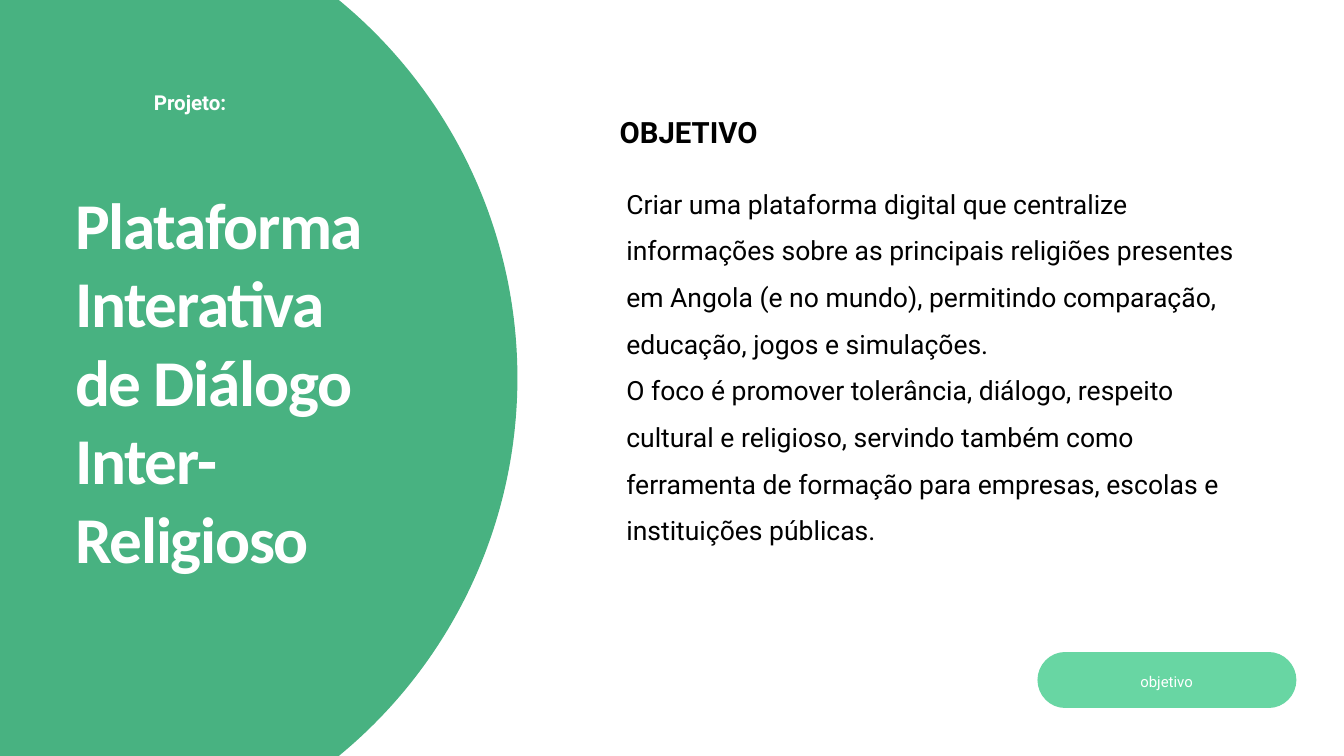
from lxml.etree import SubElement
from pptx import Presentation
from pptx.dml.color import RGBColor
from pptx.enum.shapes import MSO_CONNECTOR, MSO_SHAPE
from pptx.enum.text import MSO_ANCHOR, MSO_AUTO_SIZE, PP_ALIGN
from pptx.oxml.ns import qn
from pptx.util import Inches, Pt

COLORS = {"green": "48B281", "mint": "68D6A3", "white": "FFFFFF", "black": "000000"}


def rgb(name):
    return RGBColor.from_string(COLORS[name])


def write(shape, box, paragraphs, size, leading, color, font="Roboto", bold=False,
          align=PP_ALIGN.LEFT):
    """Place a text shape and fill it with one run per paragraph."""
    shape.left, shape.top, shape.width, shape.height = (Inches(v) for v in box)
    frame = shape.text_frame
    frame.word_wrap = True
    frame.auto_size = MSO_AUTO_SIZE.NONE
    frame.vertical_anchor = MSO_ANCHOR.TOP
    frame.margin_left = frame.margin_top = frame.margin_right = frame.margin_bottom = 0
    for i, text in enumerate(paragraphs):
        paragraph = frame.add_paragraph() if i else frame.paragraphs[0]
        properties = paragraph._p.get_or_add_pPr()
        properties.set("marL", "0")
        properties.set("indent", "0")
        SubElement(properties, qn("a:buNone"))
        paragraph.alignment = align
        paragraph.line_spacing = Pt(leading)
        paragraph.space_before = paragraph.space_after = Pt(0)
        run = paragraph.add_run()
        run.text = text
        run.font.name = font
        run.font.size = Pt(size)
        run.font.bold = bold
        run.font.color.rgb = rgb(color)


prs = Presentation()
prs.slide_width = Inches(20)
prs.slide_height = Inches(11.25)
slide = prs.slides.add_slide(prs.slide_layouts[1])
shapes = slide.shapes

# Green disc behind the title, centred on the slide's height
diameter = 14.56
disc = shapes.add_shape(MSO_SHAPE.OVAL, Inches(-6.86), Inches((11.25 - diameter) / 2),
                        Inches(diameter), Inches(diameter))
disc.shadow.inherit = False
disc.fill.solid()
disc.fill.fore_color.rgb = rgb("green")
disc.line.fill.background()
shapes._spTree.insert(2, disc._element)

# Title and objective
title = shapes.title
write(title, (1.12, 2.74, 4.85, 5.77), ["Plataforma Interativa de Diálogo Inter-Religioso"],
      70, 84, "white", font="Calibri", bold=True)
title.text_frame.paragraphs[0].runs[0].font._element.set("spc", "-140")

write(slide.placeholders[1], (9.32, 2.57, 9.08, 5.45), [
    "Criar uma plataforma digital que centralize informações sobre as principais religiões "
    "presentes em Angola (e no mundo), permitindo comparação, educação, jogos e simulações.",
    "O foco é promover tolerância, diálogo, respeito cultural e religioso, servindo também "
    "como ferramenta de formação para empresas, escolas e instituições públicas.",
], 28.4, 50, "black")

heading = shapes.add_textbox(0, 0, 0, 0)
write(heading, (9.22, 1.65, 9.18, 0.55), ["OBJETIVO"], 31.4, 40.9, "black", bold=True)

project_label = shapes.add_textbox(0, 0, 0, 0)
write(project_label, (2.29, 1.28, 2.5, 0.4), ["Projeto:"], 22, 30.8, "white", bold=True)

# Pill: a thick line with round ends
pill = shapes.add_connector(MSO_CONNECTOR.STRAIGHT, Inches(15.85), Inches(10.12),
                            Inches(18.88), Inches(10.12))
pill.line.color.rgb = rgb("mint")
pill.line.width = Pt(59.25)
pill.line._get_or_add_ln().set("cap", "rnd")
SubElement(pill._element.spPr, qn("a:effectLst"))

pill_label = shapes.add_textbox(0, 0, 0, 0)
write(pill_label, (16.32, 9.99, 2.08, 0.27), ["objetivo"], 16, 20.8, "white",
      align=PP_ALIGN.CENTER)

prs.save("out.pptx")
